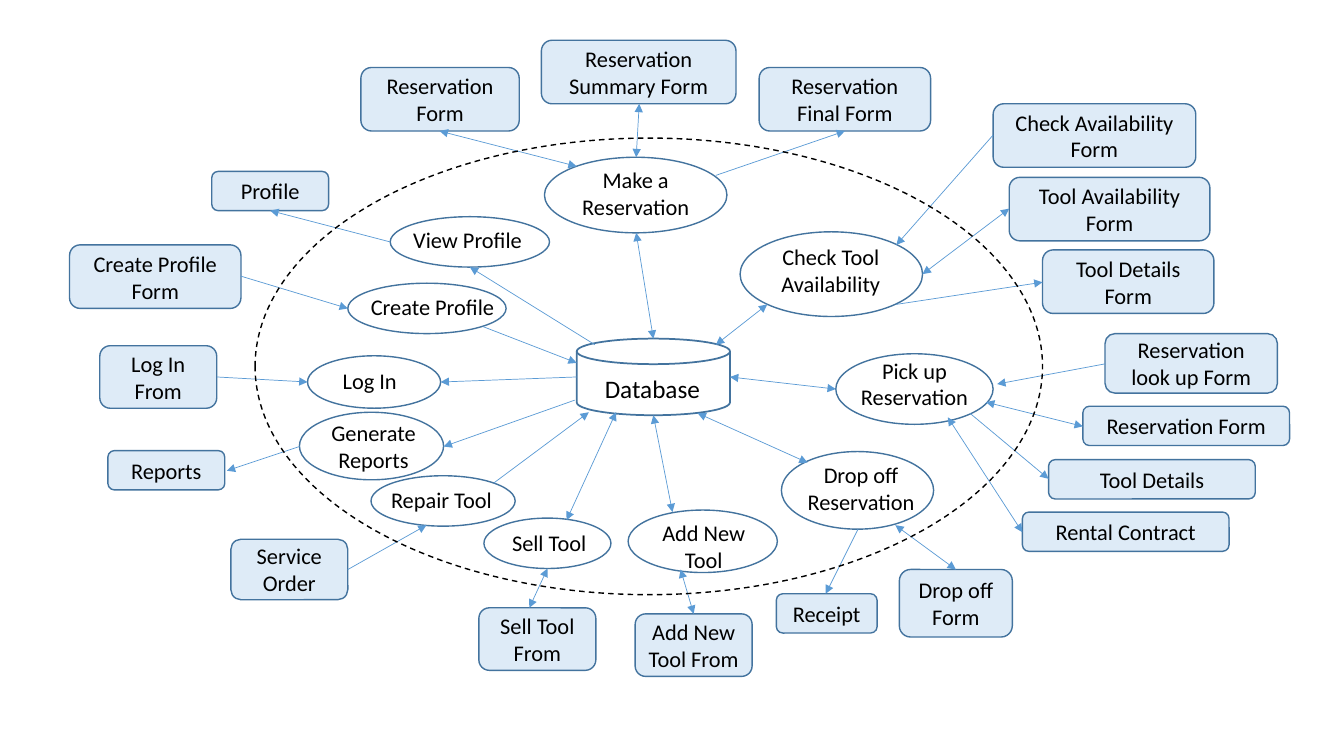
from lxml.etree import SubElement
from pptx import Presentation
from pptx.dml.color import RGBColor
from pptx.enum.dml import MSO_LINE
from pptx.enum.shapes import MSO_CONNECTOR, MSO_SHAPE
from pptx.enum.text import MSO_ANCHOR, PP_ALIGN
from pptx.oxml.ns import qn
from pptx.util import Inches, Pt

BLACK = RGBColor(0x00, 0x00, 0x00)
NAVY = RGBColor(0x43, 0x73, 0x9E)
PALE = RGBColor(0xDE, 0xEB, 0xF7)
BLUE = RGBColor(0x5B, 0x9B, 0xD5)

# Forms outside the system: label, left, top, width, height
FORMS = [
    ("Log In From", 0.99, 3.43, 1.16, 0.62),
    ("Create Profile Form", 0.69, 2.43, 1.7, 0.63),
    ("Profile", 2.1, 1.7, 1.16, 0.39),
    ("Reservation Form", 3.58, 0.67, 1.57, 0.63),
    ("Reservation Summary Form", 5.37, 0.4, 1.93, 0.63),
    ("Reservation Final Form", 7.53, 0.67, 1.7, 0.63),
    ("Check Availability Form", 9.85, 1.03, 2.01, 0.63),
    ("Tool Availability Form", 10.01, 1.76, 1.99, 0.63),
    ("Tool Details Form", 10.34, 2.48, 1.7, 0.63),
    ("Reservation look up Form", 10.96, 3.31, 1.71, 0.59),
    ("Reservation Form", 10.74, 4.03, 2.05, 0.39),
    ("Tool Details", 10.4, 4.56, 2.05, 0.39),
    ("Rental Contract", 10.14, 5.08, 2.05, 0.39),
    ("Drop off Form", 8.92, 5.65, 1.12, 0.67),
    ("Receipt", 7.7, 5.89, 1, 0.39),
    ("Add New Tool From", 6.3, 6.09, 1.16, 0.62),
    ("Sell Tool From", 4.75, 6.03, 1.16, 0.62),
    ("Service Order", 2.29, 5.35, 1.16, 0.6),
    ("Reports", 1.07, 4.47, 1.16, 0.39),
]

# Processes: label, oval box, label left, top and width, whether it wraps
TASKS = [
    ("Log In", (3.05, 3.53, 1.32, 0.52), (3.3, 3.59, 0.75), False),
    ("Create Profile", (3.45, 2.81, 1.57, 0.5), (3.58, 2.86, 1.44), False),
    ("View Profile", (3.87, 2.15, 1.58, 0.5), (4, 2.19, 1.3), False),
    ("Make a Reservation", (5.4, 1.56, 1.81, 0.75), (5.53, 1.6, 1.55), True),
    ("Check Tool Availability", (7.34, 2.3, 1.81, 0.84), (7.43, 2.36, 1.62), True),
    ("Pick up Reservation", (8.29, 3.51, 1.56, 0.7), (8.25, 3.49, 1.64), True),
    ("Drop off Reservation", (7.75, 4.48, 1.51, 0.77), (7.84, 4.53, 1.4), True),
    ("Add New Tool", (6.23, 5.06, 1.48, 0.62), (6.42, 5.1, 1.12), True),
    ("Sell Tool", (4.8, 5.14, 1.26, 0.5), (4.98, 5.2, 0.95), False),
    ("Repair Tool", (3.68, 4.72, 1.43, 0.5), (3.78, 4.77, 1.22), False),
    ("Generate Reports", (2.97, 4.09, 1.43, 0.67), (3.1, 4.11, 1.21), True),
]

# Flows: start x, start y, end x, end y
ONE_WAY = [
    (5.72, 3.74, 4.37, 3.79), (2.15, 3.74, 3.05, 3.79),
    (2.39, 2.74, 3.45, 3.06), (4.79, 3.24, 5.72, 3.6),
    (5.9, 3.42, 4.66, 2.65), (3.87, 2.4, 2.68, 2.09),
    (7.1, 1.74, 8.38, 1.3), (9.85, 1.34, 8.89, 2.43),
    (8.89, 3.02, 10.34, 2.8), (10.96, 3.61, 9.89, 3.81),
    (9.62, 4.1, 10.4, 4.75), (8.51, 5.25, 8.19, 5.89),
    (3.45, 5.65, 4.23, 5.21), (4.9, 4.79, 5.84, 4.09),
    (5.7, 3.97, 4.4, 4.43), (2.97, 4.43, 2.25, 4.67),
]
TWO_WAY = [
    (6.48, 3.36, 6.31, 2.31), (4.36, 1.3, 5.72, 1.65),
    (6.34, 1.03, 6.31, 1.56), (7.1, 3.42, 7.61, 3.02),
    (9.15, 2.72, 10.01, 2.07), (7.24, 3.74, 8.29, 3.86),
    (9.78, 3.99, 10.74, 4.23), (9.4, 4.14, 10.14, 5.28),
    (6.92, 4.1, 8.01, 4.59), (8.88, 5.21, 9.48, 5.65),
    (6.48, 4.12, 6.67, 5.08), (6.75, 5.65, 6.88, 6.09),
    (6.11, 4.09, 5.62, 5.16), (5.43, 5.64, 5.25, 6.03),
]


class Chart:
    """Holds the style and the current slide."""

    font = {"name": "Calibri", "size": Pt(16)}

    def __init__(self, slide):
        """Keep the slide to draw on."""
        self.shapes = slide.shapes

    def put_text(self, frame, text, align, **style):
        """Fill a text frame with one styled paragraph."""
        line = frame.paragraphs[0]
        line.alignment = align
        run = line.add_run()
        run.text = text
        for key, value in {**self.font, **style}.items():
            setattr(run.font, key, value)
        run.font.color.rgb = BLACK

    def shape(self, kind, box, fill=None, color=NAVY, width=1):
        """Add an outlined shape, hollow unless a fill is given."""
        item = self.shapes.add_shape(kind, *map(Inches, box))
        item.shadow.inherit = False
        if fill is None:
            item.fill.background()
        else:
            item.fill.solid()
            item.fill.fore_color.rgb = fill
        item.line.color.rgb = color
        item.line.width = Pt(width)
        return item

    def form(self, text, *box):
        """Add a rounded box with a centred label."""
        item = self.shape(MSO_SHAPE.ROUNDED_RECTANGLE, box, PALE)
        item.text_frame.vertical_anchor = MSO_ANCHOR.MIDDLE
        self.put_text(item.text_frame, text, PP_ALIGN.CENTER)

    def label(self, text, spot, wrap, **style):
        """Add a text box one or two lines high."""
        height = 0.64 if wrap else 0.37
        frame = self.shapes.add_textbox(*map(Inches, (*spot, height))).text_frame
        frame.word_wrap = wrap
        align = PP_ALIGN.CENTER if wrap else PP_ALIGN.LEFT
        self.put_text(frame, text, align, **style)

    def task(self, text, box, spot, wrap):
        """Add a process oval and its label."""
        self.shape(MSO_SHAPE.OVAL, box)
        self.label(text, spot, wrap)

    def flow(self, ends, tips):
        """Add a thin line with the given arrow tips."""
        item = self.shapes.add_connector(MSO_CONNECTOR.STRAIGHT, *map(Inches, ends))
        item.line.color.rgb = BLUE
        item.line.width = Pt(0.5)
        props = item.element.spPr
        for tip in tips:
            SubElement(props.find(qn("a:ln")), qn(tip), type="triangle")
        SubElement(props, qn("a:effectLst"))


deck = Presentation()
deck.slide_width = Inches(13.33)
deck.slide_height = Inches(7.5)
chart = Chart(deck.slides.add_slide(deck.slide_layouts[6]))

chart.shape(MSO_SHAPE.FLOWCHART_MAGNETIC_DISK, (5.72, 3.36, 1.52, 0.76), width=1.25)
chart.label("Database", (5.9, 3.65, 1.16), False, size=Pt(18))
for task in TASKS:
    chart.task(*task)
for form in FORMS:
    chart.form(*form)
for ends in ONE_WAY:
    chart.flow(ends, ["a:tailEnd"])
for ends in TWO_WAY:
    chart.flow(ends, ["a:headEnd", "a:tailEnd"])
border = chart.shape(MSO_SHAPE.OVAL, (2.53, 1.37, 7.81, 4.53), color=BLACK)
border.line.dash_style = MSO_LINE.DASH

deck.save("out.pptx")
